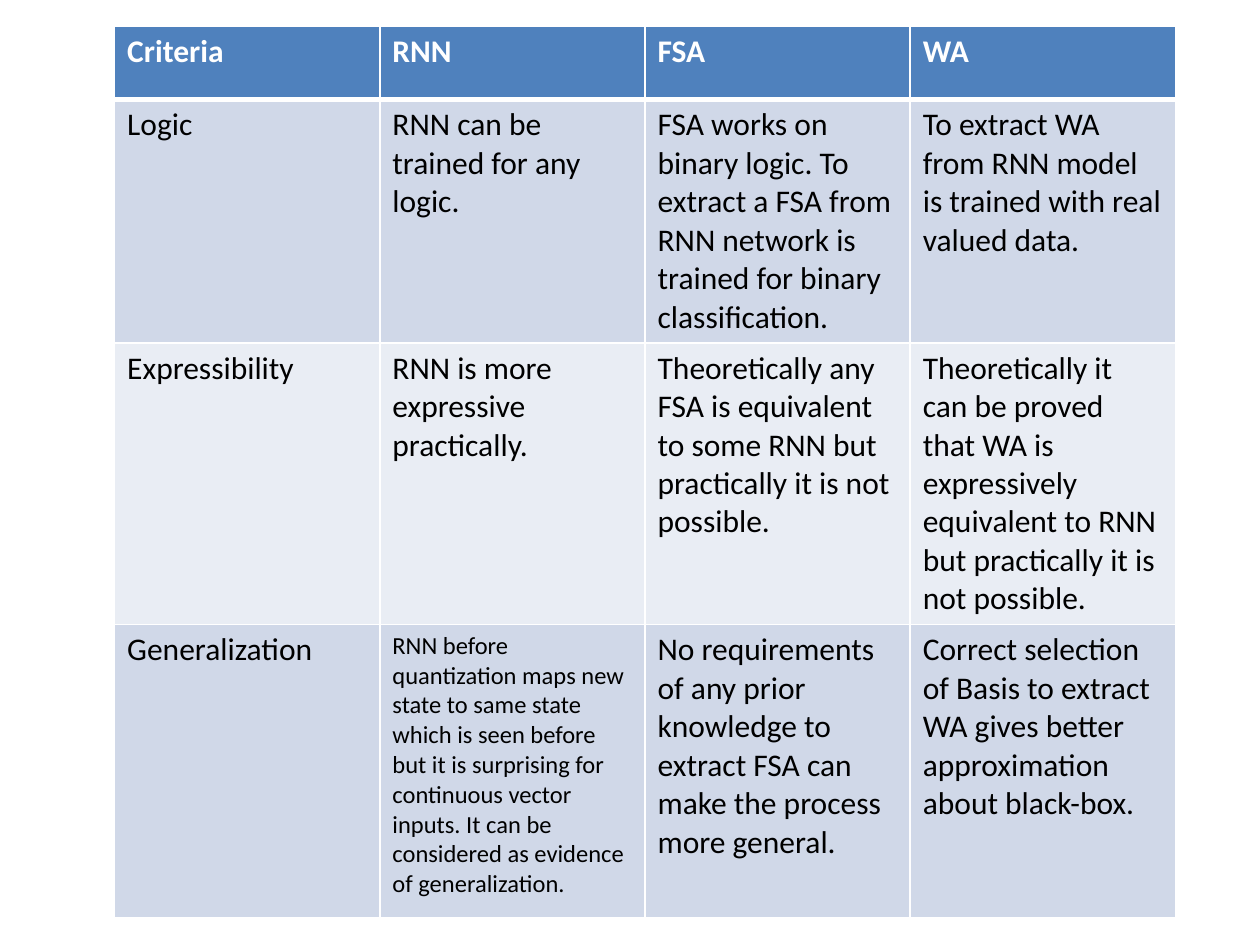
"""Build a slide with a table comparing RNN, FSA and WA."""
from lxml import etree
from pptx import Presentation
from pptx.dml.color import RGBColor
from pptx.oxml.ns import qn
from pptx.util import Inches, Pt

WHITE = RGBColor(0xFF, 0xFF, 0xFF)
BLACK = RGBColor(0x00, 0x00, 0x00)
HEADER_BLUE = RGBColor(0x4F, 0x81, 0xBD)
BANDS = (RGBColor(0xE9, 0xED, 0xF4), RGBColor(0xD0, 0xD8, 0xE8))
BLANK_LAYOUT = 6

ROW_HEIGHTS = (0.58, 1.65, 1.91, 2.33)
GENERALIZATION = (
    "RNN before quantization maps new state to same state which is seen before "
    "but it is surprising for continuous vector inputs. It can be considered as "
    "evidence of generalization."
)
CRITERIA = (
    ("Criteria", "RNN", "FSA", "WA"),
    (
        "Logic",
        "RNN can be trained for any logic.",
        "FSA works on binary logic. To extract a FSA from RNN network is trained "
        "for binary classification.",
        "To extract WA from RNN model is trained with real valued data.",
    ),
    (
        "Expressibility",
        "RNN is more expressive practically.",
        "Theoretically any FSA is equivalent to some RNN but practically it is "
        "not possible.",
        "Theoretically it can be proved that WA is expressively equivalent to RNN "
        "but practically it is not possible.",
    ),
    (
        "Generalization",
        GENERALIZATION,
        "No requirements of any prior knowledge to extract FSA can make the "
        "process more general.",
        "Correct selection of Basis to extract WA gives better approximation "
        "about black-box.",
    ),
)
SMALL_TEXT = {GENERALIZATION: 14}


def write_text(frame, text, size=18, color=BLACK, bold=False, font="Calibri"):
    """Write one formatted paragraph into a text frame."""
    span = frame.paragraphs[0].add_run()
    span.text = text
    span.font.name = font
    span.font.size = Pt(size)
    span.font.bold = bold
    span.font.color.rgb = color


class SlideBuilder:
    """Hold the table style and the current slide."""

    def __init__(self, page):
        self.page = page
        self.header_fill = HEADER_BLUE
        self.band_fills = BANDS
        self.border_color = WHITE

    def add_borders(self, cell, **widths):
        """Draw cell borders, given by side letter and width in points."""
        properties = cell._tc.get_or_add_tcPr()
        for position, side in enumerate("LRTB"):
            line = etree.Element(qn(f"a:ln{side}"), w=str(Pt(widths.get(side, 1))))
            fill = etree.SubElement(line, qn("a:solidFill"))
            etree.SubElement(fill, qn("a:srgbClr"), val=str(self.border_color))
            properties.insert(position, line)

    def add_table(self, rows, left, top, width, height, row_heights):
        """Add a table with a header row and banded body rows."""
        box = self.page.shapes.add_table(
            len(rows), len(rows[0]), Inches(left), Inches(top),
            Inches(width), Inches(height),
        )
        table = box.table
        for row_index, texts in enumerate(rows):
            table.rows[row_index].height = Inches(row_heights[row_index])
            header = row_index == 0
            fill = self.header_fill if header else self.band_fills[row_index % 2]
            for column_index, text in enumerate(texts):
                cell = table.cell(row_index, column_index)
                cell.fill.solid()
                cell.fill.fore_color.rgb = fill
                self.add_borders(
                    cell, T=3 if row_index == 1 else 1, B=3 if header else 1
                )
                write_text(
                    cell.text_frame, text, size=SMALL_TEXT.get(text, 18),
                    color=WHITE if header else BLACK, bold=header,
                )
        box.height = Inches(height)


def main():
    """Create the deck and save it."""
    deck = Presentation()
    deck.slide_width = Inches(10)
    deck.slide_height = Inches(7.5)
    page = deck.slides.add_slide(deck.slide_layouts[BLANK_LAYOUT])
    builder = SlideBuilder(page)
    builder.add_table(CRITERIA, 0.91, 0.21, 8.42, 7.01, ROW_HEIGHTS)
    deck.save("out.pptx")


if __name__ == "__main__":
    main()
